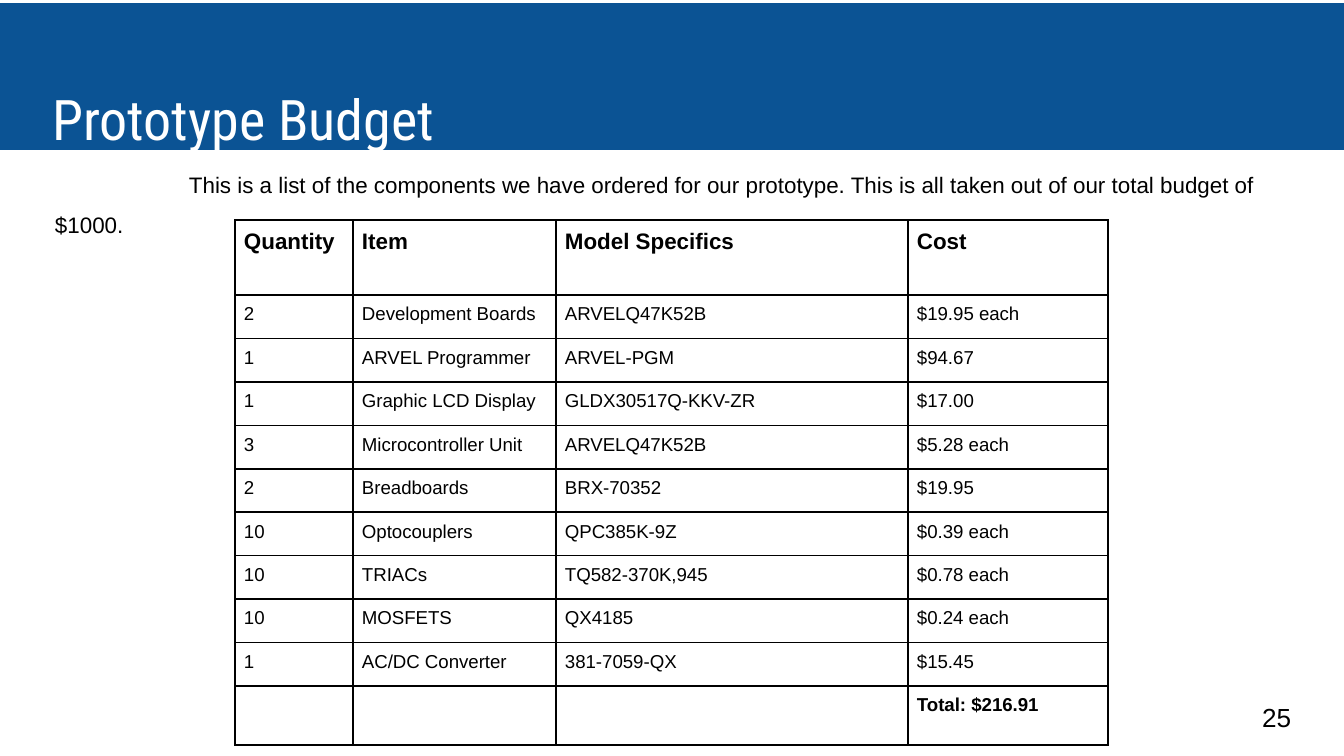
from typing import Any, NamedTuple

from pptx import Presentation
from pptx.dml.color import RGBColor
from pptx.enum.text import MSO_ANCHOR as Anchor, MSO_AUTO_SIZE as AutoSize, PP_ALIGN as Align
from pptx.oxml import parse_xml
from pptx.oxml.ns import nsdecls
from pptx.util import Emu, Pt

EMU_PER_PX = 914400 / 134.4
BLUE, BLACK, WHITE = "0B5394", "000000", "FFFFFF"


class Box(NamedTuple):
    left: int
    top: int
    width: int
    height: int


class Part(NamedTuple):
    quantity: str
    item: str
    model: str
    cost: str


HEADER = Part("Quantity", "Item", "Model Specifics", "Cost")
PARTS = [
    Part("2", "Development Boards", "ARVELQ47K52B", "$19.95 each"),
    Part("1", "ARVEL Programmer", "ARVEL-PGM", "$94.67"),
    Part("1", "Graphic LCD Display", "GLDX30517Q-KKV-ZR", "$17.00"),
    Part("3", "Microcontroller Unit", "ARVELQ47K52B", "$5.28 each"),
    Part("2", "Breadboards", "BRX-70352", "$19.95"),
    Part("10", "Optocouplers", "QPC385K-9Z", "$0.39 each"),
    Part("10", "TRIACs", "TQ582-370K,945", "$0.78 each"),
    Part("10", "MOSFETS", "QX4185", "$0.24 each"),
    Part("1", "AC/DC Converter", "381-7059-QX", "$15.45"),
]
TOTAL = Part("", "", "", "Total: $216.91")
INTRO = ("This is a list of the components we have ordered for our prototype. "
         "This is all taken out of our total budget of $1000.")

COLUMN_WIDTHS = [118, 203, 352, 200]
HEADER_HEIGHT, PARTS_HEIGHT, TOTAL_HEIGHT = 75, 391, 57
TABLE_BOX = Box(235, 220, sum(COLUMN_WIDTHS), HEADER_HEIGHT + PARTS_HEIGHT + TOTAL_HEIGHT)


def px(length: int) -> Emu:
    return Emu(round(length * EMU_PER_PX))


def rgb(value: str) -> RGBColor:
    return RGBColor.from_string(value)


def apply(target: Any, values: dict[str, Any]) -> None:
    for name, value in values.items():
        setattr(target, name, value)


def inset(sides: str, length: int) -> dict[str, Emu]:
    return {f"margin_{side}": px(length) for side in sides.split()}


def write(paragraph: Any, text: str, size: int, color: str = BLACK,
          font: str = "Arial", bold: bool = False) -> None:
    run = paragraph.add_run()
    run.text = text
    apply(run.font, {"name": font, "size": Pt(size), "bold": bold})
    run.font.color.rgb = rgb(color)


def place(shape: Any, box: Box) -> None:
    apply(shape, {name: px(length) for name, length in box._asdict().items()})


def add_text(slide: Any, box: Box, text: str, size: int) -> Any:
    """Add a wrapped, vertically centred text box and return its paragraph."""
    frame = slide.shapes.add_textbox(*map(px, box)).text_frame
    apply(frame, {"word_wrap": True, "vertical_anchor": Anchor.MIDDLE,
                  **inset("left top right bottom", 13)})
    write(frame.paragraphs[0], text, size)
    return frame.paragraphs[0]


def add_borders(cell: Any) -> None:
    properties = cell._tc.get_or_add_tcPr()
    for position, side in enumerate(("lnL", "lnR", "lnT", "lnB")):
        properties.insert(position, parse_xml(
            f'<a:{side} {nsdecls("a")} w="{Pt(1)}"><a:solidFill>'
            f'<a:srgbClr val="{BLACK}"/></a:solidFill></a:{side}>'))


def add_title(slide: Any) -> None:
    title = slide.shapes.title
    place(title, Box(0, 3, 1344, 147))
    title.fill.solid()
    title.fill.fore_color.rgb = rgb(BLUE)
    frame = title.text_frame
    apply(frame, {"word_wrap": True, "auto_size": AutoSize.NONE,
                  "vertical_anchor": Anchor.TOP, **inset("left", 52),
                  **inset("top", 81), **inset("right bottom", 0)})
    frame.paragraphs[0].alignment = Align.LEFT
    write(frame.paragraphs[0], "Prototype Budget", 30, WHITE, "Roboto Condensed")


def add_budget(slide: Any) -> None:
    entries = [HEADER, *PARTS, TOTAL]
    table = slide.shapes.add_table(
        len(entries), len(COLUMN_WIDTHS), *map(px, TABLE_BOX)).table
    apply(table, {"first_row": False, "horz_banding": False})
    for column, width in zip(table.columns, COLUMN_WIDTHS):
        column.width = px(width)
    part_height = Emu(px(PARTS_HEIGHT) // len(PARTS))
    heights = [px(HEADER_HEIGHT), *[part_height] * len(PARTS), px(TOTAL_HEIGHT)]
    for row, height, entry in zip(table.rows, heights, entries):
        row.height = height
        for cell, text in zip(row.cells, entry):
            apply(cell, {"vertical_anchor": Anchor.TOP,
                         **inset("left top right bottom", 9)})
            cell.fill.background()
            add_borders(cell)
            if text:
                write(cell.text_frame.paragraphs[0], text,
                      size=12 if entry is HEADER else 10,
                      bold=entry in (HEADER, TOTAL))


def main() -> None:
    deck = Presentation()
    apply(deck, {"slide_width": px(1344), "slide_height": px(756)})
    slide = deck.slides.add_slide(deck.slide_layouts.get_by_name("Title Only"))
    add_title(slide)
    add_budget(slide)
    intro = add_text(slide, Box(42, 125, 1275, 146), INTRO, 12)
    intro.line_spacing = 1.5
    intro._p.get_or_add_pPr().set("indent", str(px(134)))
    add_text(slide, Box(1249, 688, 81, 58), "25", 14)
    deck.save("out.pptx")


if __name__ == "__main__":
    main()
